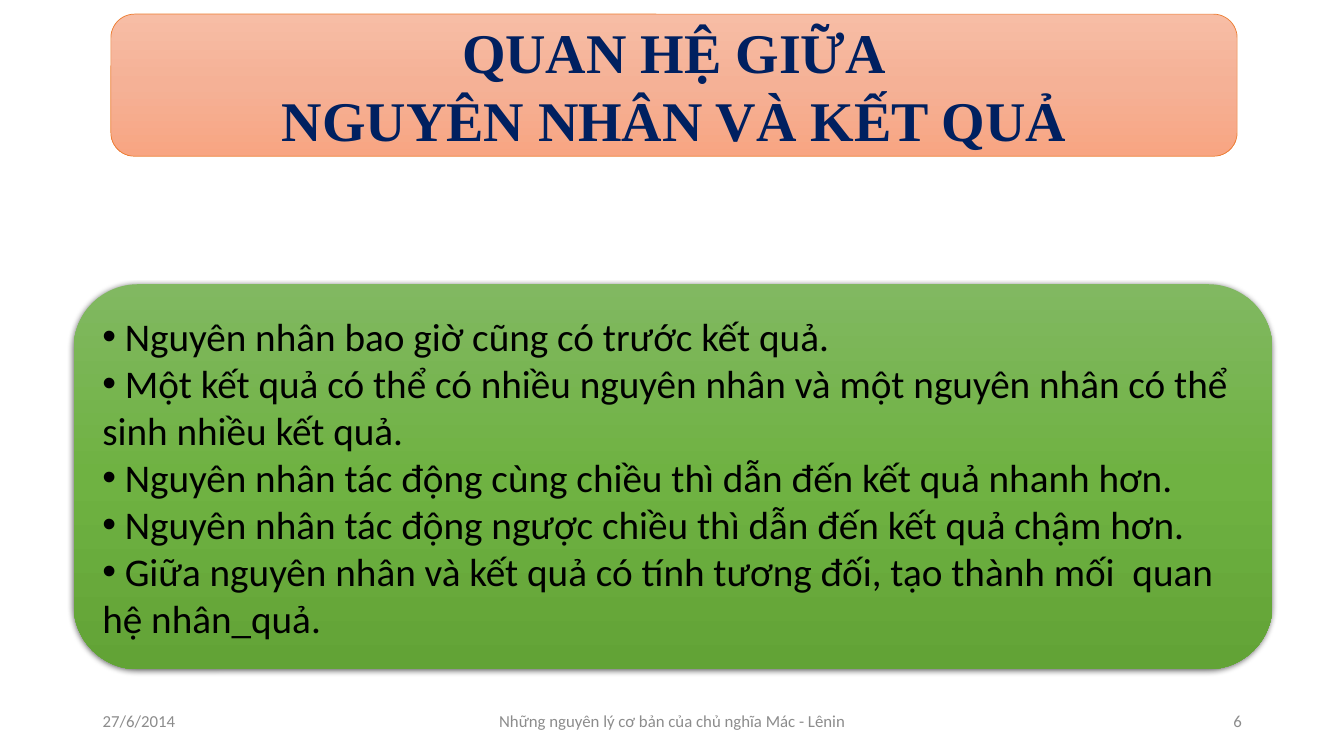
"""Build the slide on the relation between cause and effect."""
from copy import deepcopy
from dataclasses import dataclass

from lxml.etree import SubElement
from pptx import Presentation
from pptx.dml.color import RGBColor
from pptx.enum.shapes import MSO_SHAPE
from pptx.enum.text import MSO_ANCHOR, PP_ALIGN
from pptx.oxml import parse_xml
from pptx.oxml.ns import nsdecls, qn
from pptx.shapes.autoshape import Shape
from pptx.slide import Slide
from pptx.util import Inches, Pt

SLIDE_WIDTH = Inches(13.33)
SLIDE_HEIGHT = Inches(7.5)
COLUMN = SLIDE_WIDTH / 100
ROW = SLIDE_HEIGHT / 100

NAVY = RGBColor(0x00, 0x20, 0x60)
BLACK = RGBColor(0x00, 0x00, 0x00)
GREY = RGBColor(0x8C, 0x8C, 0x8C)
ORANGE = RGBColor(0xED, 0x7D, 0x31)
PEACH_GRADIENT = (RGBColor(0xF7, 0xBD, 0xA5), RGBColor(0xF5, 0xB1, 0x96), RGBColor(0xF8, 0xA5, 0x82))
GREEN_GRADIENT = (RGBColor(0x81, 0xB8, 0x61), RGBColor(0x6F, 0xB2, 0x42), RGBColor(0x62, 0xA3, 0x36))


@dataclass(frozen=True)
class Area:
    """A rectangle in grid columns and rows."""
    left: float
    top: float
    width: float
    height: float

    def lengths(self) -> tuple[int, int, int, int]:
        """Return left, top, width and height in slide units."""
        return (round(self.left * COLUMN), round(self.top * ROW),
                round(self.width * COLUMN), round(self.height * ROW))


@dataclass(frozen=True)
class TextStyle:
    """The look of a block of text."""
    font: str
    size: int
    color: RGBColor
    bold: bool = False
    bulleted: bool = False
    wrapped: bool = True


@dataclass(frozen=True)
class Panel:
    """A rounded panel with a vertical gradient."""
    area: Area
    gradient: tuple[RGBColor, ...]
    lines: tuple[str, ...]
    alignment: PP_ALIGN
    style: TextStyle
    outline: RGBColor | None = None
    shadowed: bool = False


@dataclass(frozen=True)
class FooterItem:
    """One text of the footer row."""
    left: float
    width: float
    text: str
    alignment: PP_ALIGN


TITLE_STYLE = TextStyle("Times New Roman", 40, NAVY, bold=True, wrapped=False)
BODY_STYLE = TextStyle("Calibri", 28, BLACK, bulleted=True)
FOOTER_STYLE = TextStyle("Calibri", 12, GREY)

PANELS = (
    Panel(Area(8.25, 1.87, 83.8, 18.8), PEACH_GRADIENT,
          ("QUAN HỆ GIỮA", "NGUYÊN NHÂN VÀ KẾT QUẢ"),
          PP_ALIGN.CENTER, TITLE_STYLE, outline=ORANGE),
    Panel(Area(5.48, 37.6, 89.2, 50.93), GREEN_GRADIENT,
          (" Nguyên nhân bao giờ cũng có trước kết quả.",
           " Một kết quả có thể có nhiều nguyên nhân và một nguyên nhân có thể sinh nhiều kết quả.",
           " Nguyên nhân tác động cùng chiều thì dẫn đến kết quả nhanh hơn.",
           " Nguyên nhân tác động ngược chiều thì dẫn đến kết quả chậm hơn.",
           " Giữa nguyên nhân và kết quả có tính tương đối, tạo thành mối  quan hệ nhân_quả."),
          PP_ALIGN.LEFT, BODY_STYLE, shadowed=True),
)
FOOTER_TOP, FOOTER_HEIGHT = 92.67, 5.33
FOOTER = (
    FooterItem(6.9, 22.5, "27/6/2014", PP_ALIGN.LEFT),
    FooterItem(33.15, 33.75, "Những nguyên lý cơ bản của chủ nghĩa Mác - Lênin", PP_ALIGN.CENTER),
    FooterItem(70.65, 22.5, "6", PP_ALIGN.RIGHT),
)


def write_text(shape: Shape, lines: tuple[str, ...], alignment: PP_ALIGN, style: TextStyle) -> None:
    """Write one paragraph for each line."""
    frame = shape.text_frame
    frame.word_wrap = style.wrapped
    frame.vertical_anchor = MSO_ANCHOR.MIDDLE
    frame.text = "\n".join(lines)
    for paragraph in frame.paragraphs:
        paragraph.alignment = alignment
        paragraph.font.name = style.font
        paragraph.font.size = Pt(style.size)
        paragraph.font.bold = style.bold
        paragraph.font.color.rgb = style.color
        if style.bulleted:
            properties = paragraph._p.get_or_add_pPr()
            bullet_font = SubElement(properties, qn("a:buFont"))
            bullet_font.set("typeface", "Arial")
            bullet = SubElement(properties, qn("a:buChar"))
            bullet.set("char", "•")
            properties.append(properties.find(qn("a:defRPr")))


def fill_gradient(shape: Shape, colors: tuple[RGBColor, ...]) -> None:
    """Fill a shape from top to bottom with evenly spaced colours."""
    shape.fill.gradient()
    shape.fill.gradient_angle = 270
    stop_list = shape._element.spPr.find(".//" + qn("a:gsLst"))
    while len(stop_list) < len(colors):
        stop_list.append(deepcopy(stop_list[-1]))
    for index, (stop, color) in enumerate(zip(shape.fill.gradient_stops, colors)):
        stop.position = index / (len(colors) - 1)
        stop.color.rgb = color


def add_shadow(shape: Shape) -> None:
    """Cast a soft black shadow below a shape."""
    effects = shape._element.spPr.find(qn("a:effectLst"))
    effects.append(parse_xml(
        f'<a:outerShdw {nsdecls("a")} blurRad="{Pt(4.5)}" dist="{Pt(1.5)}" dir="5400000" '
        'algn="ctr" rotWithShape="0"><a:srgbClr val="000000"><a:alpha val="63000"/>'
        '</a:srgbClr></a:outerShdw>'))


def draw_panel(slide: Slide, panel: Panel) -> None:
    """Draw a rounded panel and its text."""
    shape = slide.shapes.add_shape(MSO_SHAPE.ROUNDED_RECTANGLE, *panel.area.lengths())
    fill_gradient(shape, panel.gradient)
    if panel.outline is None:
        shape.line.fill.background()
    else:
        shape.line.color.rgb = panel.outline
        shape.line.width = Pt(0.5)
    shape.shadow.inherit = False
    if panel.shadowed:
        add_shadow(shape)
    write_text(shape, panel.lines, panel.alignment, panel.style)


def draw_footer_item(slide: Slide, item: FooterItem) -> None:
    """Draw one text of the footer row."""
    area = Area(item.left, FOOTER_TOP, item.width, FOOTER_HEIGHT)
    box = slide.shapes.add_textbox(*area.lengths())
    write_text(box, (item.text,), item.alignment, FOOTER_STYLE)


def main() -> None:
    """Build and save the presentation."""
    presentation = Presentation()
    presentation.slide_width = SLIDE_WIDTH
    presentation.slide_height = SLIDE_HEIGHT
    slide = presentation.slides.add_slide(presentation.slide_layouts[6])
    for panel in PANELS:
        draw_panel(slide, panel)
    for item in FOOTER:
        draw_footer_item(slide, item)
    presentation.save("out.pptx")


if __name__ == "__main__":
    main()
